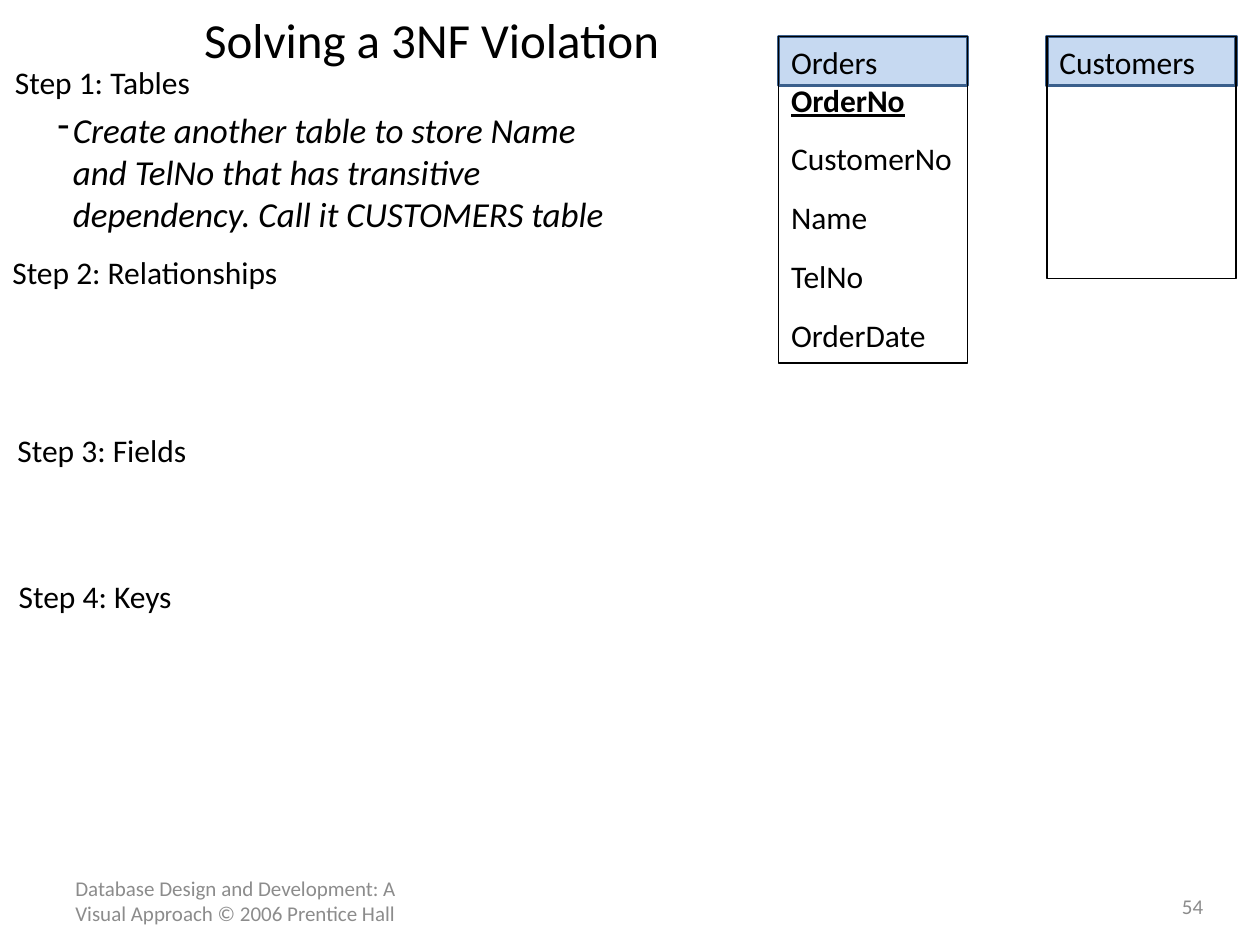
import pptx
import pptx.dml.color
import pptx.enum.shapes
import pptx.enum.text
import pptx.util
from lxml import etree

COLORS = {"text": "000000", "muted": "8C8C8C", "header": "C6D9F1", "header_line": "3A5F8C"}
FONT = "Calibri"
CELL = pptx.util.Inches(0.1)  # the slide is 100 columns by 75 rows
COLUMNS, ROWS = 100, 75
HEADER_TOP, TABLE_WIDTH, HEADER_HEIGHT = 2.9, 15, 3.9
MIDDLE = pptx.enum.text.MSO_ANCHOR.MIDDLE
CENTER = pptx.enum.text.PP_ALIGN.CENTER


def rgb(name):
    return pptx.dml.color.RGBColor.from_string(COLORS[name])


def grid(*cells):
    return [round(cell * CELL) for cell in cells]


def style(para, size, color="text"):
    para.font.name = FONT
    para.font.size = pptx.util.Pt(size)
    para.font.color.rgb = rgb(color)


def add_text(slide, area, text, size, color="text", align=None, anchor=None):
    box = slide.shapes.add_textbox(*grid(*area))
    box.text_frame.word_wrap = True
    box.text_frame.vertical_anchor = anchor
    para = box.text_frame.paragraphs[0]
    para.text = text
    para.alignment = align
    style(para, size, color)
    return para


def add_dash_item(slide, area, text):
    para = add_text(slide, area, text, 20)
    para.font.italic = True
    indent = pptx.util.Inches(0.12)
    properties = para._p.get_or_add_pPr()
    properties.set("marL", str(indent))
    properties.set("indent", str(-indent))
    bullet = etree.Element(pptx.oxml.ns.qn("a:buChar"), char="-")
    properties.insert(0, bullet)


def add_rectangle(slide, area, line, width, fill=None):
    kind = pptx.enum.shapes.MSO_SHAPE.RECTANGLE
    box = slide.shapes.add_shape(kind, *grid(*area))
    box.shadow.inherit = False
    if fill:
        box.fill.solid()
        box.fill.fore_color.rgb = rgb(fill)
    else:
        box.fill.background()
    box.line.color.rgb = rgb(line)
    box.line.width = pptx.util.Pt(width)
    return box


def add_entity(slide, left, height, name, key=None, fields=()):
    """Draw a database table: shaded name, underlined key, spaced fields."""
    header = (left, HEADER_TOP, TABLE_WIDTH, HEADER_HEIGHT)
    add_rectangle(slide, header, "header_line", 2, "header")
    outline = (left, HEADER_TOP, TABLE_WIDTH, height)
    frame = add_rectangle(slide, outline, "text", 0.75).text_frame
    frame.word_wrap = False
    frame.vertical_anchor = pptx.enum.text.MSO_ANCHOR.TOP
    lines = [name, key, *fields] if key else [name]
    frame.text = "\n".join(lines)
    for index, para in enumerate(frame.paragraphs):
        para.alignment = pptx.enum.text.PP_ALIGN.LEFT
        style(para, 18)
        if index == 1:
            para.font.bold = True
            para.font.underline = True
        if index > 1:
            para.space_before = pptx.util.Pt(12)


def main():
    deck = pptx.Presentation()
    deck.slide_width, deck.slide_height = grid(COLUMNS, ROWS)
    slide = deck.slides.add_slide(deck.slide_layouts[6])

    add_text(slide, (5, 69.5, 29.4, 4),
             "Database Design and Development: A Visual Approach © 2006 Prentice Hall",
             12, "muted", anchor=MIDDLE)
    add_text(slide, (5.1, 0.2, 58.3, 5.8), "Solving a 3NF Violation", 28,
             align=CENTER, anchor=MIDDLE)
    steps = [
        (0.2, 4.5, "Step 1: Tables"),
        (0, 19.6, "Step 2: Relationships"),
        (0.4, 33.7, "Step 3: Fields"),
        (0.5, 45.3, "Step 4: Keys"),
    ]
    for left, top, label in steps:
        add_text(slide, (left, top, 25.6, 4), label, 18)
    add_dash_item(slide, (3.6, 8.1, 47.2, 11.1),
                  "Create another table to store Name and TelNo that has "
                  "transitive dependency. Call it CUSTOMERS table")
    add_text(slide, (91.7, 70.3, 5.9, 3.2), "54", 12, "muted", CENTER, MIDDLE)

    add_entity(slide, 61.8, 25.9, "Orders", "OrderNo",
               ["CustomerNo", "Name", "TelNo", "OrderDate"])
    add_entity(slide, 83.1, 19.2, "Customers")
    deck.save("out.pptx")


if __name__ == "__main__":
    main()
